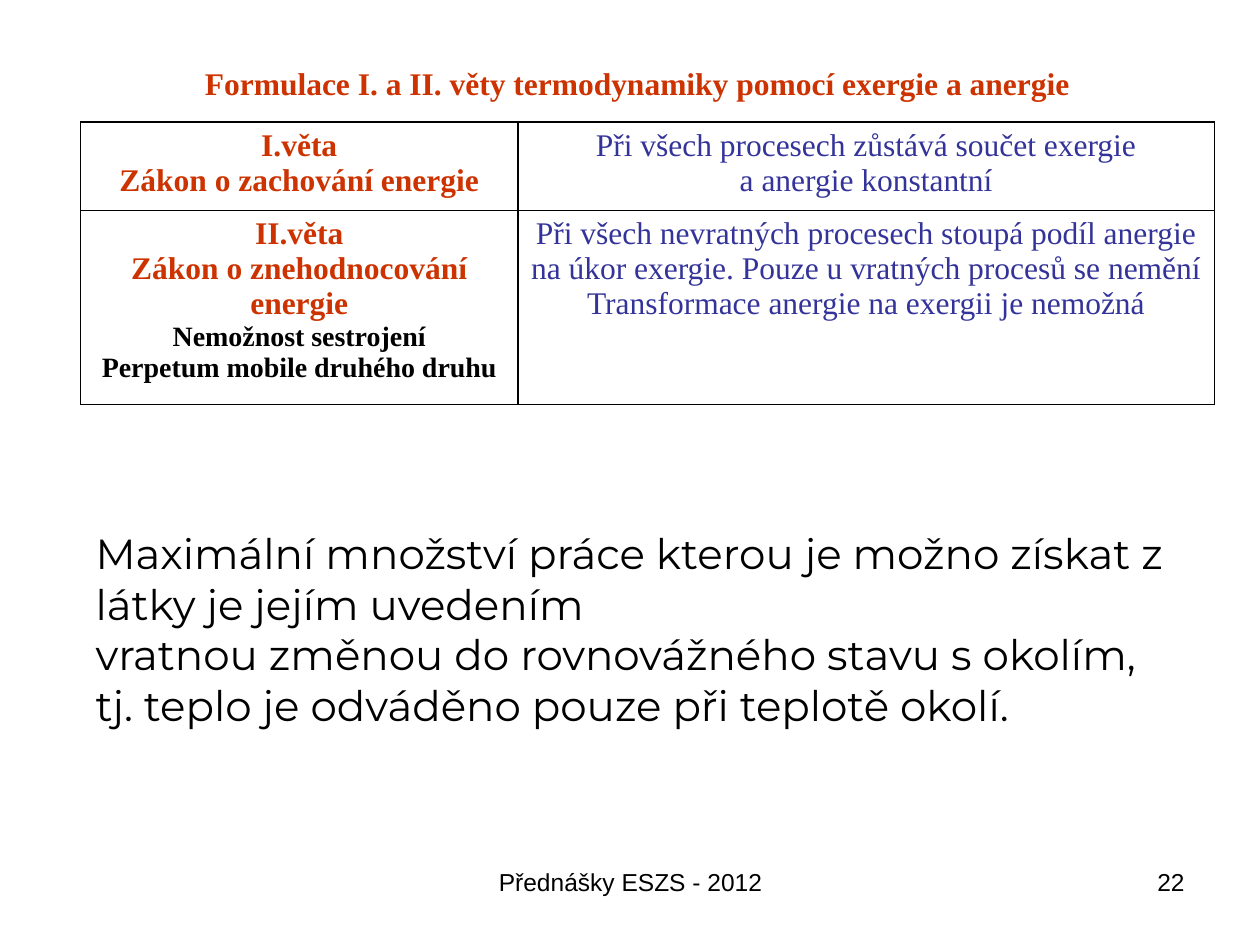
from lxml import etree
from pptx import Presentation
from pptx.dml.color import RGBColor
from pptx.enum.text import MSO_ANCHOR, PP_ALIGN
from pptx.oxml.ns import qn
from pptx.util import Inches, Pt

LEFT, CENTER, RIGHT = PP_ALIGN.LEFT, PP_ALIGN.CENTER, PP_ALIGN.RIGHT
TOP, MIDDLE = MSO_ANCHOR.TOP, MSO_ANCHOR.MIDDLE
RED = RGBColor(0xCC, 0x33, 0x00)
BLUE = RGBColor(0x33, 0x33, 0x99)
BLACK = RGBColor(0x00, 0x00, 0x00)

HEADING = {"name": "Times New Roman", "size": Pt(18), "bold": True, "color": RED}
STATEMENT = {**HEADING, "bold": False, "color": BLUE}
REMARK = {**HEADING, "size": Pt(16), "color": BLACK}
BODY = {"name": "Montserrat", "size": Pt(24), "bold": False, "color": BLACK}
FOOTER = {**BODY, "name": "Arial", "size": Pt(14)}


def write_paragraphs(text_frame, lines, alignment):
    """Fill the frame with (text, format) pairs, one paragraph each."""
    text_frame.word_wrap = True
    for index, (text, text_format) in enumerate(lines):
        paragraph = text_frame.add_paragraph() if index else text_frame.paragraphs[0]
        paragraph.alignment = alignment
        run = paragraph.add_run()
        run.text = text
        for attribute, value in text_format.items():
            if attribute == "color":
                run.font.color.rgb = value
            else:
                setattr(run.font, attribute, value)


def add_cell_borders(cell):
    properties = cell._tc.get_or_add_tcPr()
    for side in ("lnL", "lnR", "lnT", "lnB"):
        line = etree.SubElement(properties, qn(f"a:{side}"), w=str(Pt(0.96)))
        fill = etree.SubElement(line, qn("a:solidFill"))
        etree.SubElement(fill, qn("a:srgbClr"), val=str(BLACK))


presentation = Presentation()
presentation.slide_width = Inches(10)
presentation.slide_height = Inches(7.5)
slide = presentation.slides.add_slide(presentation.slide_layouts[6])

text_boxes = [
    ((0.56, 0.49, 9, 0.34), CENTER, MIDDLE,
     [("Formulace I. a II. věty termodynamiky pomocí exergie a anergie", HEADING)]),
    ((0.66, 4.14, 8.78, 1.7), LEFT, TOP,
     [("Maximální množství práce kterou je možno získat z látky je jejím uvedením", BODY),
      ("vratnou změnou do rovnovážného stavu s okolím, "
       "tj. teplo je odváděno pouze při teplotě okolí.", BODY)]),
    ((3.42, 6.83, 3.17, 0.52), CENTER, TOP, [("Přednášky ESZS - 2012", FOOTER)]),
    ((7.17, 6.83, 2.33, 0.52), RIGHT, TOP, [("22", FOOTER)]),
]
for box, alignment, anchor, lines in text_boxes:
    shape = slide.shapes.add_textbox(*map(Inches, box))
    shape.text_frame.vertical_anchor = anchor
    write_paragraphs(shape.text_frame, lines, alignment)

column_widths = (3.47, 5.53)
row_heights = (0.7, 1.54)
law_rows = [
    [
        [("I.věta", HEADING), ("Zákon o zachování energie", HEADING)],
        [("Při všech procesech zůstává součet exergie", STATEMENT),
         ("a anergie konstantní", STATEMENT)],
    ],
    [
        [("II.věta", HEADING), ("Zákon o znehodnocování energie", HEADING),
         ("Nemožnost sestrojení", REMARK), ("Perpetum mobile druhého druhu", REMARK)],
        [("Při všech nevratných procesech stoupá podíl anergie na úkor exergie. "
          "Pouze u vratných procesů se nemění", STATEMENT),
         ("Transformace anergie na exergii je nemožná", STATEMENT)],
    ],
]
table = slide.shapes.add_table(
    len(row_heights), len(column_widths), Inches(0.64), Inches(0.97),
    Inches(sum(column_widths)), Inches(sum(row_heights))).table
table.first_row = False
table.horz_banding = False
for column, width in zip(table.columns, column_widths):
    column.width = Inches(width)
for row, height, cell_texts in zip(table.rows, row_heights, law_rows):
    row.height = Inches(height)
    for cell, lines in zip(row.cells, cell_texts):
        add_cell_borders(cell)
        cell.fill.background()
        write_paragraphs(cell.text_frame, lines, CENTER)

presentation.save("out.pptx")
